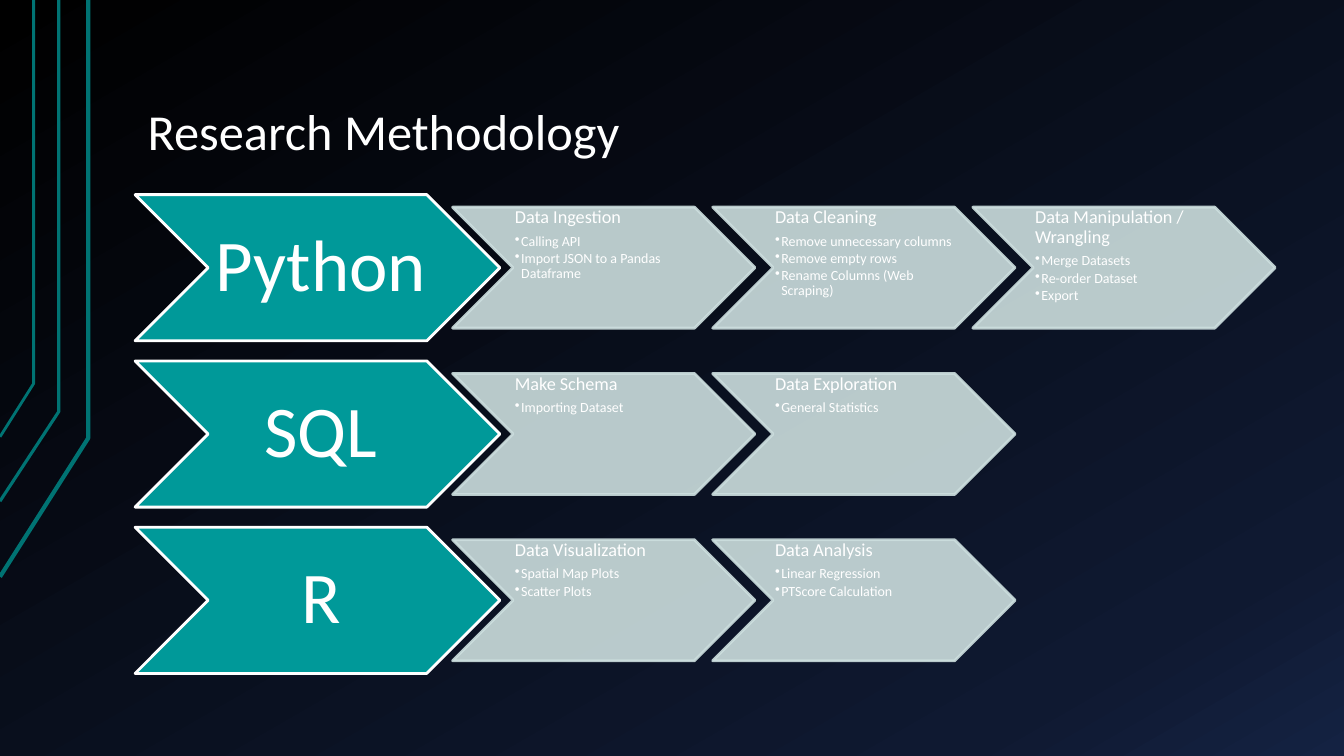
from lxml.etree import SubElement
from pptx import Presentation
from pptx.dml.color import RGBColor
from pptx.enum.shapes import MSO_SHAPE as Shape
from pptx.enum.text import MSO_ANCHOR as Anchor, PP_ALIGN as Align
from pptx.oxml.ns import qn
from pptx.util import Pt

TITLE = "Research Methodology"
STAGES = [
    ("Python", [
        ("Data Ingestion", ["Calling API", "Import JSON to a Pandas Dataframe"]),
        ("Data Cleaning", ["Remove unnecessary columns", "Remove empty rows",
                           "Rename Columns (Web Scraping)"]),
        ("Data Manipulation / Wrangling", ["Merge Datasets", "Re-order Dataset", "Export"]),
    ]),
    ("SQL", [
        ("Make Schema", ["Importing Dataset"]),
        ("Data Exploration", ["General Statistics"]),
    ]),
    ("R", [
        ("Data Visualization", ["Spatial Map Plots", "Scatter Plots"]),
        ("Data Analysis", ["Linear Regression", "PTScore Calculation"]),
    ]),
]
BACKDROP = [(0, "000000"), (85, "0F1931"), (100, "142242")]
CIRCUIT_LINES = [
    ([(0, 411.5), (63.4, 313.2), (63.4, 0)], 3),
    ([(0, 357.5), (41.8, 293.8), (41.8, 0)], 2.25),
    ([(0, 311.8), (24.5, 274.3), (24.5, 0)], 2),
]
FONT, WHITE, TEAL, PALE, CIRCUIT = "Calibri", "FFFFFF", "009999", "CCDEDE", "007373"

LEFT, TOP, ROW_STEP = 96.5, 139, 118.8
TOOL_WIDTH, TOOL_HEIGHT = 260.6, 104.4
STEP_LEFT, STEP_STEP = 323.3, 185.8
STEP_WIDTH, STEP_HEIGHT = 216, 86.4
BULLET_INDENT = 4.5


def colour(value):
    return RGBColor.from_string(value)


def set_backdrop(page):
    fill = page.background.fill
    fill.gradient()
    fill.gradient_angle = 300
    stops = page.background._cSld.find(".//" + qn("a:gsLst"))
    for stop in list(stops):
        stops.remove(stop)
    for position, value in BACKDROP:
        stop = SubElement(stops, qn("a:gs"), pos=str(position * 1000))
        SubElement(stop, qn("a:srgbClr"), val=value)


def add_circuit_line(page, points, width):
    builder = page.shapes.build_freeform(*points[0], scale=Pt(1))
    builder.add_line_segments(points[1:], close=False)
    outline = builder.convert_to_shape()
    outline.shadow.inherit = False
    outline.fill.background()
    outline.line.color.rgb = colour(CIRCUIT)
    outline.line.width = Pt(width)


def set_frame(box, anchor, left, top, right, bottom):
    frame = box.text_frame
    frame.word_wrap = True
    frame.vertical_anchor = anchor
    frame.margin_left, frame.margin_top = Pt(left), Pt(top)
    frame.margin_right, frame.margin_bottom = Pt(right), Pt(bottom)
    return frame


def write(para, text, size, after=0, align=Align.LEFT):
    para.alignment = align
    para.line_spacing = 0.9
    para.space_after = Pt(after)
    span = para.add_run()
    span.text = text
    span.font.name = FONT
    span.font.size = Pt(size)
    span.font.color.rgb = colour(WHITE)


def add_chevron(page, left, top, width, height, fill, line, opacity=100):
    box = page.shapes.add_shape(Shape.CHEVRON, Pt(left), Pt(top), Pt(width), Pt(height))
    box.shadow.inherit = False
    box.fill.solid()
    box.fill.fore_color.rgb = colour(fill)
    box.line.color.rgb = colour(line)
    box.line.width = Pt(2)
    if opacity < 100:
        for paint in box._element.spPr.iter(qn("a:srgbClr")):
            SubElement(paint, qn("a:alpha"), val=str(opacity * 1000))
    return box


def add_bullet(para):
    properties = para._p.get_or_add_pPr()
    properties.set("marL", str(Pt(BULLET_INDENT)))
    properties.set("indent", str(-Pt(BULLET_INDENT)))
    SubElement(properties, qn("a:buChar"), char="•")


def add_tool(page, name, top):
    box = add_chevron(page, LEFT, top, TOOL_WIDTH, TOOL_HEIGHT, TEAL, WHITE)
    frame = set_frame(box, Anchor.MIDDLE, 5, 2.5, 0, 2.5)
    write(frame.paragraphs[0], name, 52, align=Align.CENTER)


def add_step(page, heading, tasks, left, top):
    box = add_chevron(page, left, top, STEP_WIDTH, STEP_HEIGHT, PALE, PALE, opacity=90)
    frame = set_frame(box, Anchor.TOP, 1.3, 0.65, 0, 0.65)
    write(frame.paragraphs[0], heading, 13, after=4.5)
    for task in tasks:
        para = frame.add_paragraph()
        para.level = 1
        add_bullet(para)
        write(para, task, 10, after=1.5)


def main():
    deck = Presentation()
    deck.slide_width, deck.slide_height = Pt(960), Pt(540)
    page = deck.slides.add_slide(deck.slide_layouts[6])
    set_backdrop(page)
    for points, width in CIRCUIT_LINES:
        add_circuit_line(page, points, width)

    title = page.shapes.add_textbox(Pt(96), Pt(24), Pt(816), Pt(96.5))
    frame = set_frame(title, Anchor.BOTTOM, 9.5, 5, 9.5, 5)
    write(frame.paragraphs[0], TITLE, 36)

    for row, (tool, steps) in enumerate(STAGES):
        top = TOP + row * ROW_STEP
        add_tool(page, tool, top)
        step_top = top + (TOOL_HEIGHT - STEP_HEIGHT) / 2
        for column, (heading, tasks) in enumerate(steps):
            add_step(page, heading, tasks, STEP_LEFT + column * STEP_STEP, step_top)
    deck.save("out.pptx")


if __name__ == "__main__":
    main()
